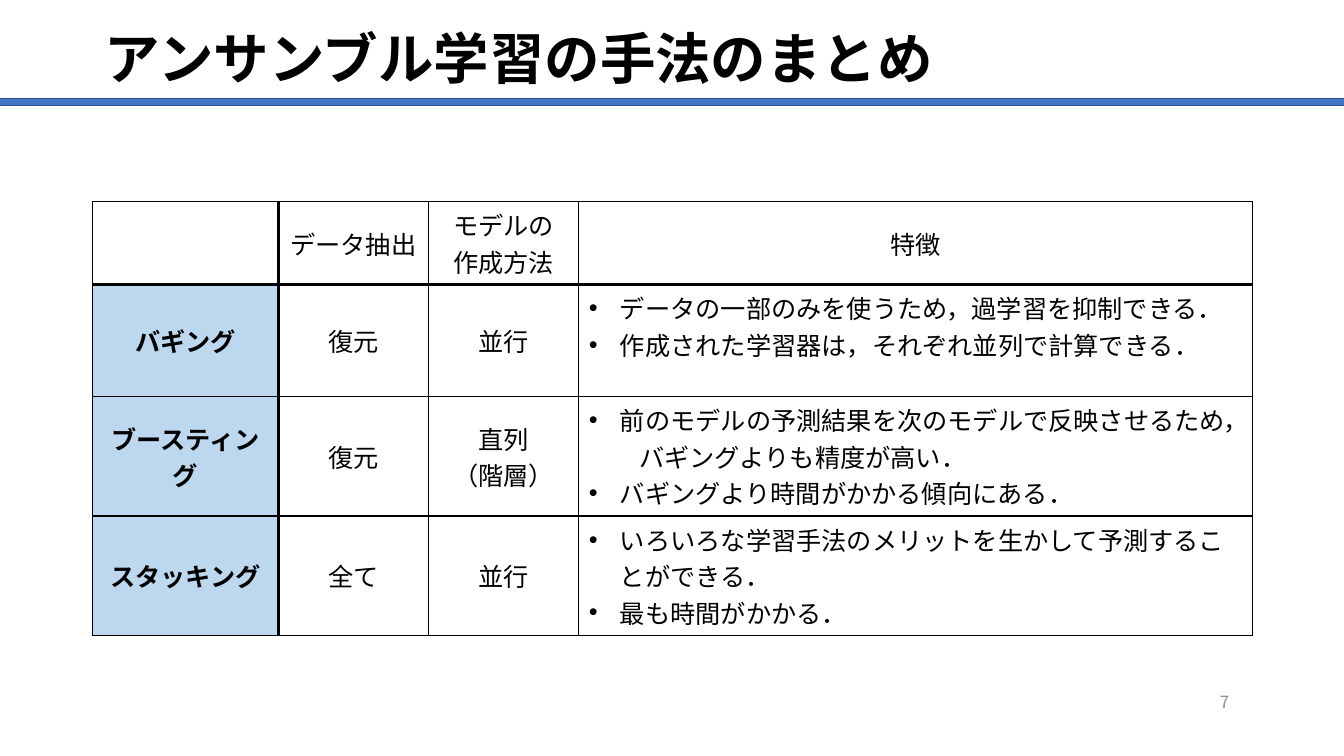
from lxml import etree
from pptx import Presentation
from pptx.dml.color import RGBColor
from pptx.enum.shapes import MSO_SHAPE
from pptx.enum.text import MSO_ANCHOR, MSO_AUTO_SIZE, PP_ALIGN
from pptx.oxml.ns import qn
from pptx.util import Inches, Pt

LEFT, CENTER, RIGHT = PP_ALIGN.LEFT, PP_ALIGN.CENTER, PP_ALIGN.RIGHT
TOP, MIDDLE = MSO_ANCHOR.TOP, MSO_ANCHOR.MIDDLE
FONT = "Noto Sans CJK JP"

# Content: each cell is a list of lines; "• " starts a bullet,
# "> " indents a line that continues the bullet above
TITLE = "アンサンブル学習の手法のまとめ"
PAGE = "7"
ROWS = [
    [[], ["データ抽出"], ["モデルの", "作成方法"], ["特徴"]],
    [["バギング"], ["復元"], ["並行"],
     ["• データの一部のみを使うため，過学習を抑制できる．",
      "• 作成された学習器は，それぞれ並列で計算できる．"]],
    [["ブースティング"], ["復元"], ["直列", "（階層）"],
     ["• 前のモデルの予測結果を次のモデルで反映させるため，",
      "> バギングよりも精度が高い．",
      "• バギングより時間がかかる傾向にある．"]],
    [["スタッキング"], ["全て"], ["並行"],
     ["• いろいろな学習手法のメリットを生かして予測することができる．",
      "• 最も時間がかかる．"]],
]
COL_WIDTHS = [1.84, 1.49, 1.49, 6.68]
ROW_HEIGHTS = [0.73, 1.11, 1.11, 1.11]
THICK, THIN = 2.25, 1


def rgb(color):
    return RGBColor.from_string(color)


def write(p, text, size, color="000000", bold=False, align=LEFT):
    p.alignment = align
    r = p.add_run()
    r.text = text
    r.font.size, r.font.bold = Pt(size), bold
    r.font.color.rgb = rgb(color)
    r.font.name = FONT
    ea = etree.SubElement(r.font._element, qn("a:ea"))
    ea.set("typeface", FONT)


def indent(p, left, first=0, bullet=None):
    pPr = p._p.get_or_add_pPr()
    pPr.set("marL", str(Inches(left)))
    pPr.set("indent", str(Inches(first)))
    if bullet:
        font = etree.SubElement(pPr, qn("a:buFont"))
        font.set("typeface", "Arial")
        etree.SubElement(pPr, qn("a:buChar")).set("char", bullet)


def border(cell, side, width):
    ln = etree.SubElement(cell._tc.get_or_add_tcPr(), qn("a:ln" + side))
    ln.set("w", str(Pt(width)))
    fill = etree.SubElement(ln, qn("a:solidFill"))
    etree.SubElement(fill, qn("a:srgbClr")).set("val", "000000")


def fill_cell(cell, row, col, lines):
    # Thick rules run below the header row and right of the name column
    thick = {"L": col == 1, "R": col == 0, "T": row == 1, "B": row == 0}
    for side, is_thick in thick.items():
        border(cell, side, THICK if is_thick else THIN)
    is_name = col == 0 and row > 0
    is_feature = col == 3 and row > 0
    if is_name:
        cell.fill.solid()
        cell.fill.fore_color.rgb = rgb("BDD7EE")
    else:
        cell.fill.background()
    cell.vertical_anchor = TOP if is_feature else MIDDLE
    tf = cell.text_frame
    for i, line in enumerate(lines):
        p = tf.add_paragraph() if i else tf.paragraphs[0]
        if line.startswith("• "):
            indent(p, 0.31, -0.31, "•")
        elif line.startswith("> "):
            indent(p, 0.5)
        write(p, line.removeprefix("• ").removeprefix("> "), 18,
              bold=is_name, align=LEFT if is_feature else CENTER)


prs = Presentation()
prs.slide_width, prs.slide_height = Inches(13.33), Inches(7.5)
s = prs.slides.add_slide(prs.slide_layouts[5])

# Title
title = s.shapes.title
title.left, title.top = Inches(0.94), Inches(0.25)
title.width, title.height = Inches(11.47), Inches(0.73)
tf = title.text_frame
tf.auto_size, tf.vertical_anchor = MSO_AUTO_SIZE.NONE, MIDDLE
tf.paragraphs[0].line_spacing = 0.9
write(tf.paragraphs[0], TITLE, 39.6, bold=True)

# Comparison table
table = s.shapes.add_table(
    len(ROWS), len(COL_WIDTHS), Inches(0.92), Inches(2),
    Inches(sum(COL_WIDTHS)), Inches(sum(ROW_HEIGHTS))).table
table.first_row = table.horz_banding = False
for column, width in zip(table.columns, COL_WIDTHS):
    column.width = Inches(width)
for table_row, height in zip(table.rows, ROW_HEIGHTS):
    table_row.height = Inches(height)
for row, cells in enumerate(ROWS):
    for col, lines in enumerate(cells):
        fill_cell(table.cell(row, col), row, col, lines)

# Bar under the title
bar = s.shapes.add_shape(MSO_SHAPE.RECTANGLE, Inches(-0.01), Inches(0.98),
                         Inches(13.35), Inches(0.07))
bar.shadow.inherit = False
bar.fill.solid()
bar.fill.fore_color.rgb = rgb("4472C4")
bar.line.color.rgb = rgb("325491")
bar.line.width = Pt(1)

# Page number
tf = s.shapes.add_textbox(Inches(9.29), Inches(6.76),
                          Inches(3), Inches(0.4)).text_frame
tf.word_wrap, tf.vertical_anchor = True, MIDDLE
write(tf.paragraphs[0], PAGE, 12, "8C8C8C", align=RIGHT)

prs.save("out.pptx")
